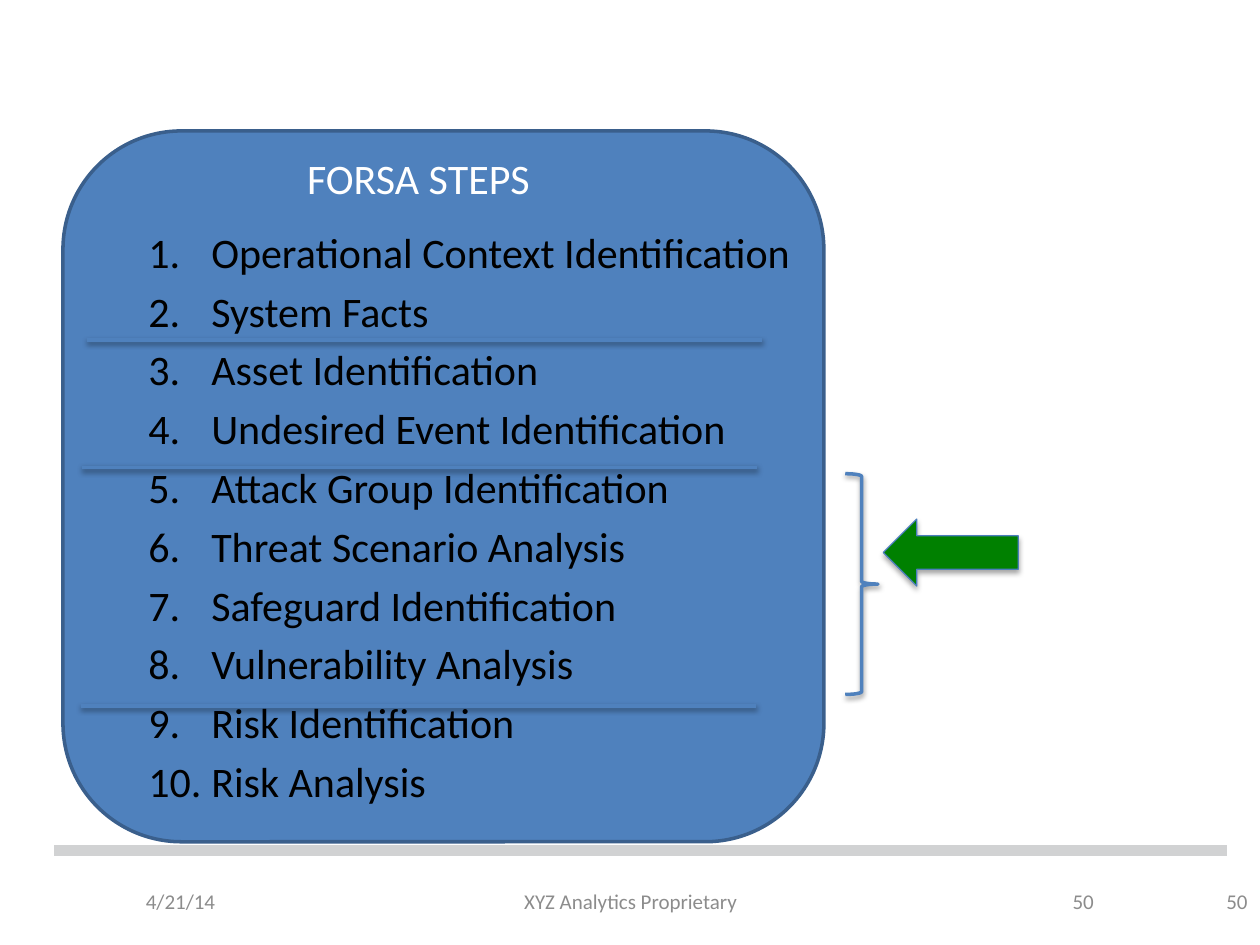
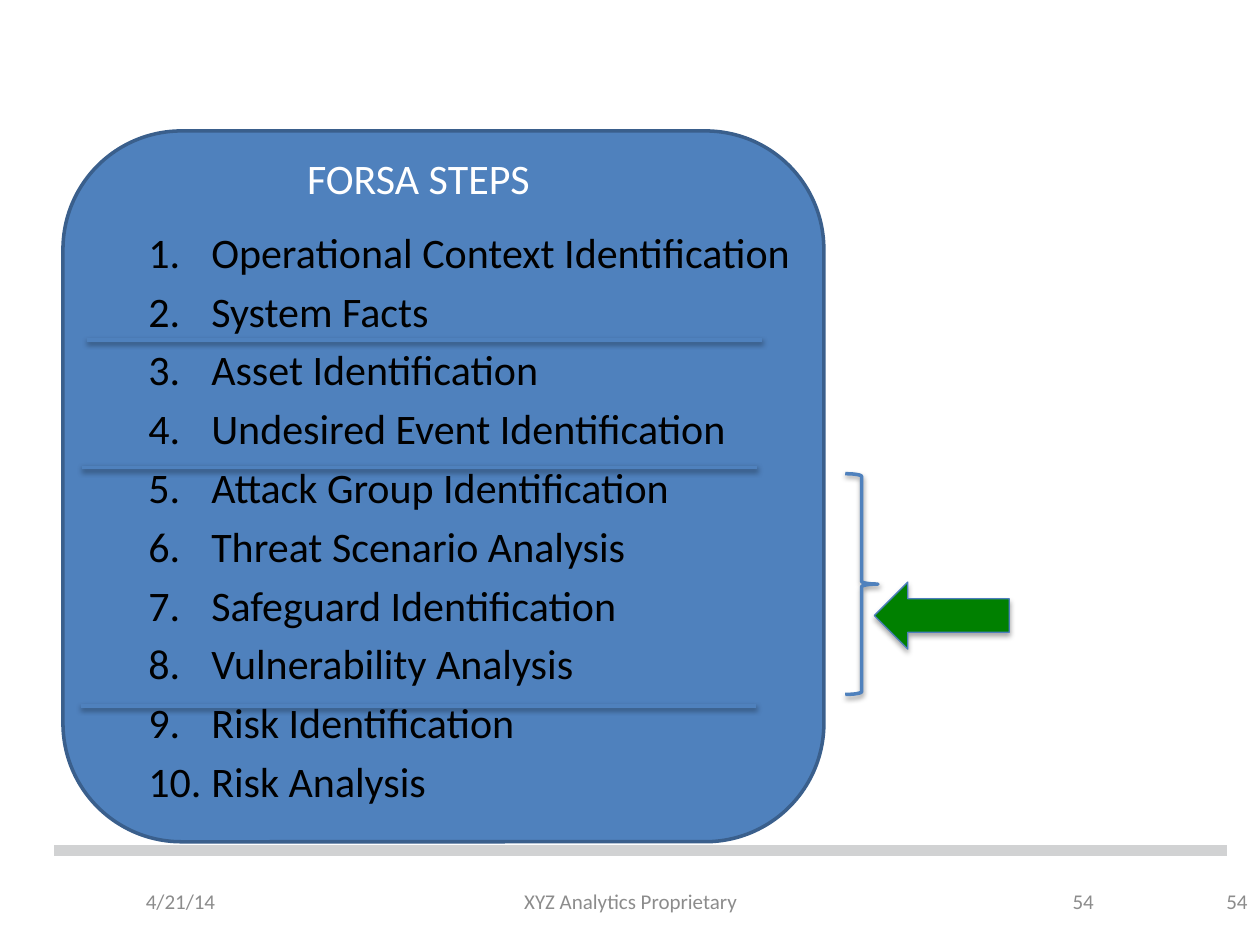
"""Build two slides that list the FORSA steps and mark the current one."""
from dataclasses import dataclass

from lxml.etree import SubElement
from pptx import Presentation
from pptx.dml.color import RGBColor
from pptx.enum.shapes import MSO_CONNECTOR, MSO_SHAPE
from pptx.enum.text import MSO_ANCHOR, PP_ALIGN
from pptx.oxml.ns import qn
from pptx.util import Cm, Pt


@dataclass(frozen=True)
class Theme:
    font: str = "Calibri"
    blue: RGBColor = RGBColor(0x4F, 0x81, 0xBD)
    panel_edge: RGBColor = RGBColor(0x3A, 0x5F, 0x8C)
    arrow: RGBColor = RGBColor(0x00, 0x80, 0x00)
    arrow_edge: RGBColor = RGBColor(0x4B, 0x7E, 0xBC)
    rule: RGBColor = RGBColor(0xD1, 0xD2, 0xD3)
    footer: RGBColor = RGBColor(0x8C, 0x8C, 0x8C)
    white: RGBColor = RGBColor(0xFF, 0xFF, 0xFF)
    black: RGBColor = RGBColor(0x00, 0x00, 0x00)
    body_size: Pt = Pt(24)
    footer_size: Pt = Pt(12)
    step_gap: Pt = Pt(4.8)


T = Theme()
STEPS = [
    "Operational Context Identification",
    "System Facts",
    "Asset Identification",
    "Undesired Event Identification",
    "Attack Group Identification",
    "Threat Scenario Analysis",
    "Safeguard Identification",
    "Vulnerability Analysis",
    "Risk Identification",
    "Risk Analysis",
]
SLIDES = [("50", 18.49, 9.78), ("54", 18.31, 11.05)]
DIVIDERS = [(1.75, 6.85), (1.65, 9.42), (1.63, 14.23)]
DIVIDER_WIDTH = 13.62


def add_text(s, box, lines, size, color, align=PP_ALIGN.LEFT, anchor=MSO_ANCHOR.TOP, numbered=False):
    tf = s.shapes.add_textbox(*map(Cm, box)).text_frame
    tf.word_wrap = True
    tf.vertical_anchor = anchor
    tf.text = "\n".join(lines)
    for i, p in enumerate(tf.paragraphs):
        p.alignment = align
        if numbered:
            pPr = p._p.get_or_add_pPr()
            pPr.set("marL", str(Cm(1.27)))
            pPr.set("indent", str(-Cm(1.27)))
            p.space_before = T.step_gap if i else Pt(0)
            SubElement(pPr, qn("a:buFont"), typeface="+mj-lt")
            SubElement(pPr, qn("a:buAutoNum"), type="arabicPeriod")
        for r in p.runs:
            r.font.name, r.font.size, r.font.color.rgb = T.font, size, color


def outline(sp, color, width, alpha=0, dist=1.6):
    sp.line.color.rgb = color
    sp.line.width = Pt(width)
    effects = SubElement(sp._element.spPr, qn("a:effectLst"))
    if alpha:
        shadow = SubElement(effects, qn("a:outerShdw"), blurRad=str(Pt(3.1)), dist=str(Pt(dist)),
                            dir="5400000", rotWithShape="0")
        clr = SubElement(shadow, qn("a:srgbClr"), val=str(T.black))
        SubElement(clr, qn("a:alpha"), val=str(alpha * 1000))


prs = Presentation()
prs.slide_width, prs.slide_height = Cm(25.4), Cm(19.05)

for number, arrow_x, arrow_y in SLIDES:
    s = prs.slides.add_slide(prs.slide_layouts[6])

    footers = [
        (2.69, 4.5, "4/21/14", PP_ALIGN.LEFT),
        (18.21, 4.09, number, PP_ALIGN.RIGHT),
        (8.69, 8.05, "XYZ Analytics Proprietary", PP_ALIGN.CENTER),
        (21.31, 4.09, number, PP_ALIGN.RIGHT),
    ]
    for x, w, text, align in footers:
        add_text(s, (x, 17.65, w, 1.02), [text], T.footer_size, T.footer, align, MSO_ANCHOR.MIDDLE)
    rule = s.shapes.add_connector(MSO_CONNECTOR.STRAIGHT, Cm(1.09), Cm(17.15), Cm(24.74), Cm(17.15))
    outline(rule, T.rule, 6)

    panel = s.shapes.add_shape(MSO_SHAPE.ROUNDED_RECTANGLE, Cm(1.27), Cm(2.64), Cm(15.34), Cm(14.33))
    panel.fill.solid()
    panel.fill.fore_color.rgb = T.blue
    outline(panel, T.panel_edge, 2)
    add_text(s, (5.94, 2.95, 5.99, 1.27), ["FORSA STEPS"], T.body_size, T.white)
    add_text(s, (2.74, 4.44, 13.94, 12.42), STEPS, T.body_size, T.black, numbered=True)

    arrow = s.shapes.add_shape(MSO_SHAPE.DOWN_ARROW, Cm(arrow_x), Cm(arrow_y), Cm(1.35), Cm(2.72))
    arrow.rotation = 90
    arrow.fill.solid()
    arrow.fill.fore_color.rgb = T.arrow
    outline(arrow, T.arrow_edge, 0.75, alpha=35, dist=1.8)

    brace = s.shapes.add_shape(MSO_SHAPE.RIGHT_BRACE, Cm(17.04), Cm(9.55), Cm(0.66), Cm(4.45))
    brace.fill.background()
    outline(brace, T.blue, 2, alpha=38)

    for x, y in DIVIDERS:
        divider = s.shapes.add_connector(MSO_CONNECTOR.STRAIGHT, Cm(x), Cm(y), Cm(x + DIVIDER_WIDTH), Cm(y))
        outline(divider, T.blue, 2, alpha=38)

prs.save("out.pptx")
